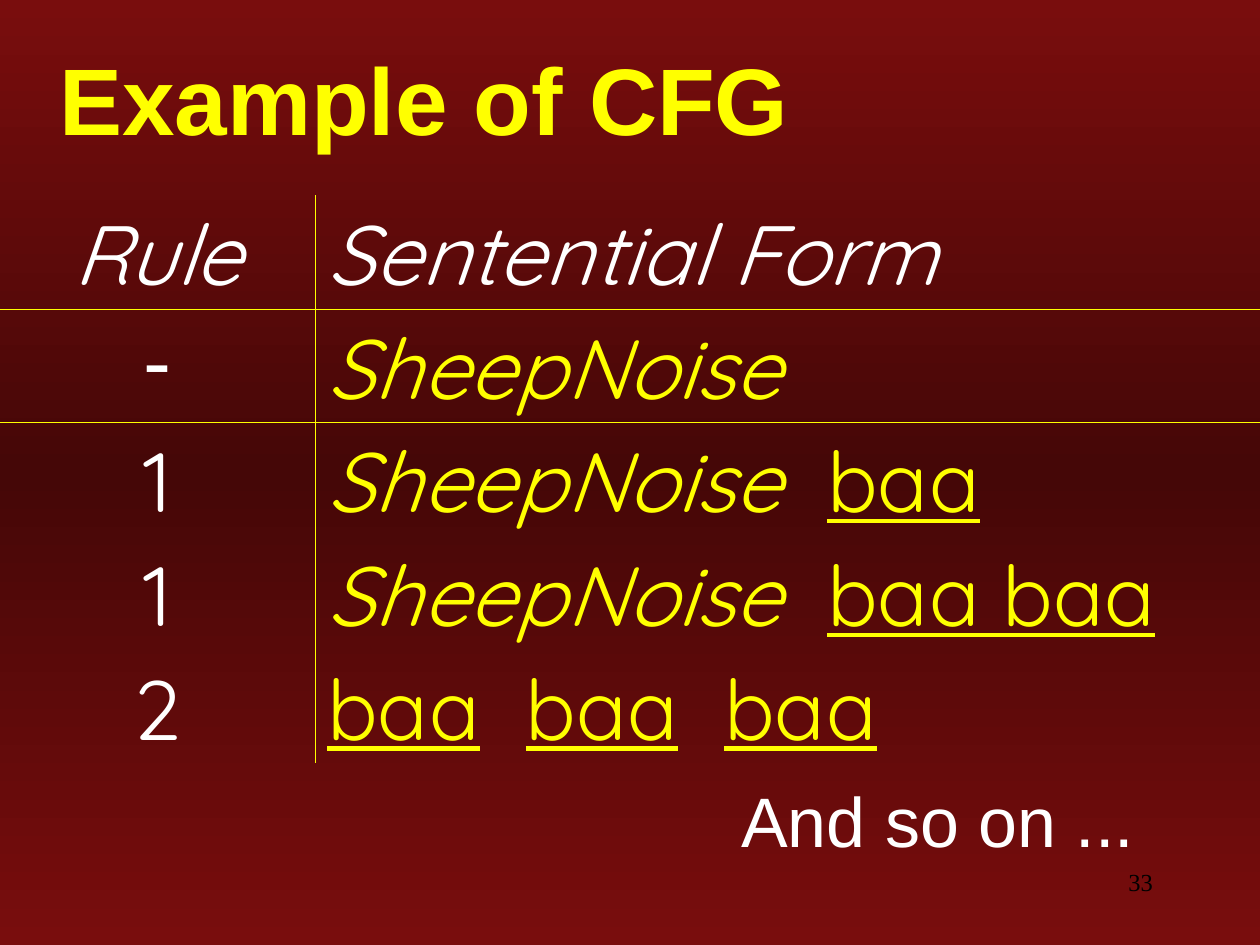
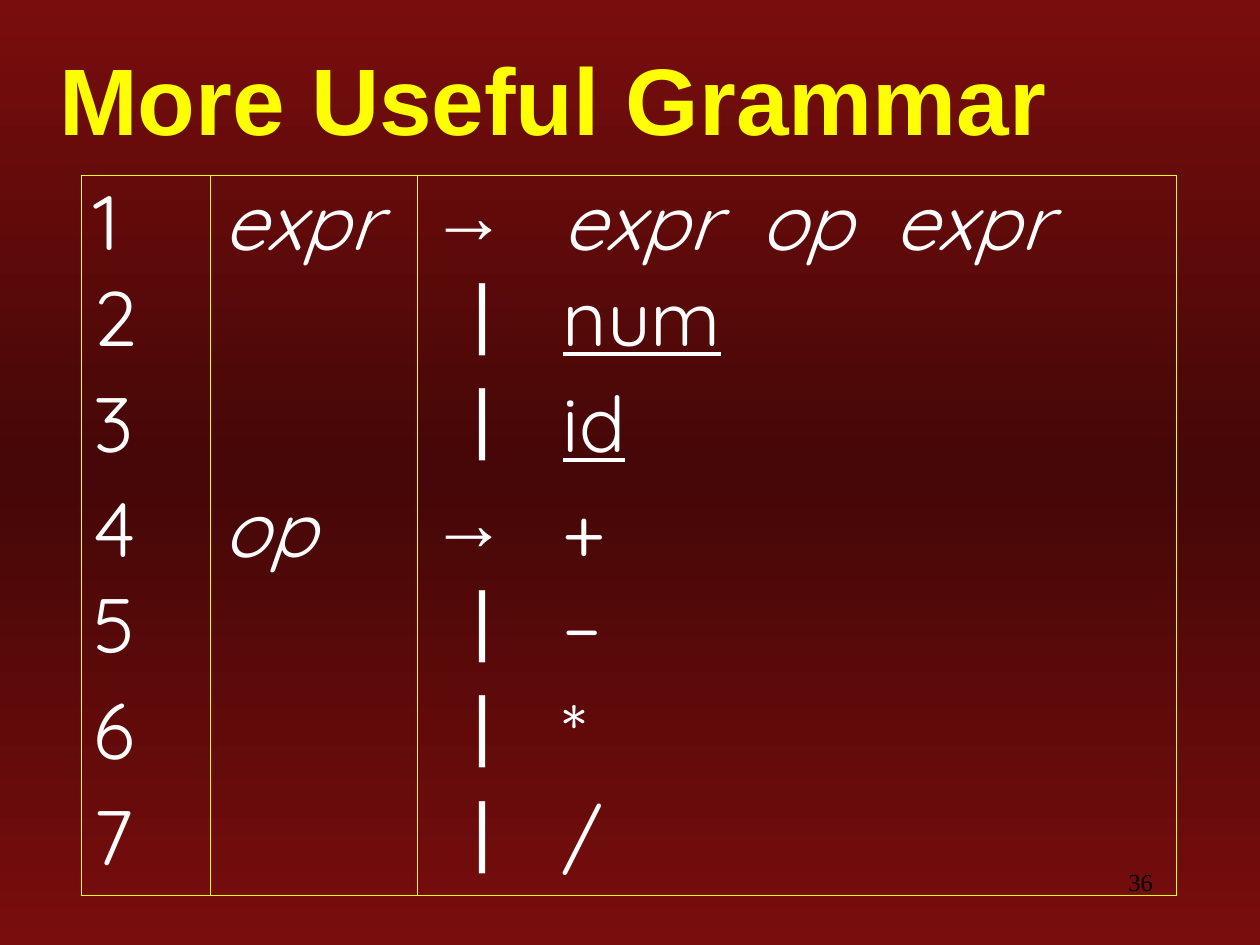
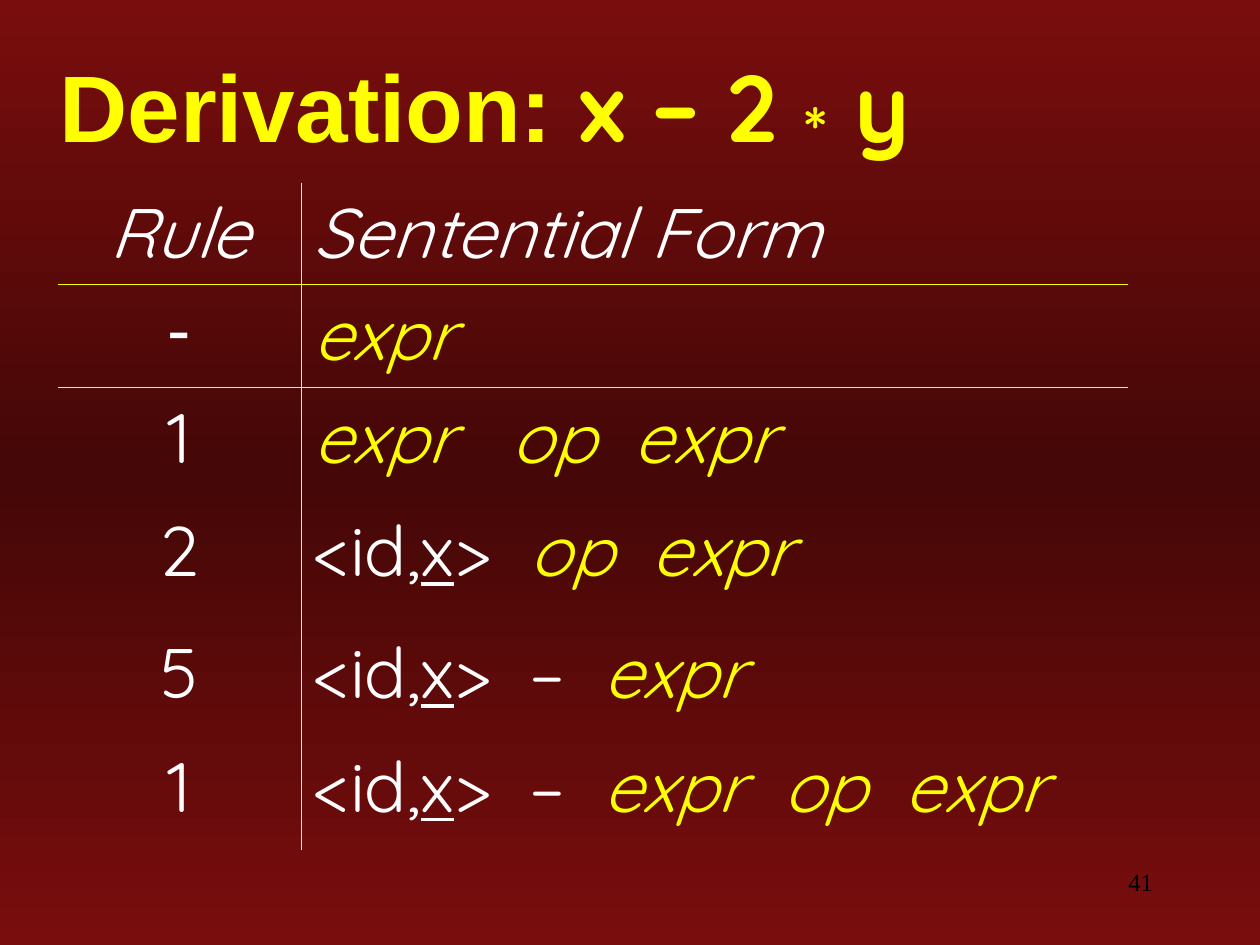
from copy import deepcopy
from dataclasses import dataclass

from lxml.etree import SubElement
from pptx import Presentation
from pptx.dml.color import RGBColor
from pptx.enum.text import MSO_ANCHOR as Anchor
from pptx.enum.text import MSO_AUTO_SIZE as AutoSize
from pptx.enum.text import PP_ALIGN as Align
from pptx.oxml.ns import qn
from pptx.util import Cm, Pt

YELLOW = RGBColor(0xFF, 0xFF, 0x00)
WHITE = RGBColor(0xFF, 0xFF, 0xFF)
BLACK = RGBColor(0x00, 0x00, 0x00)
RED = RGBColor(0x79, 0x0D, 0x0D)
DARK_RED = RGBColor(0x45, 0x07, 0x07)
SHADOW = RGBColor(0xCC, 0xEC, 0xFF)

HEADING_FONT = "Arial"
BODY_FONT = "Quicksand"
NUMBER_FONT = "Times New Roman"
TITLE_SIZE = 54
TITLE_ONLY = 5
RULE_WIDTH = Pt(0.45)
CELL_MARGIN = 0.25
BAR_INDENT = 0.86
NO_STYLE = "{2D5ABB26-0587-4C30-8999-92F81FD0307C}"


@dataclass(frozen=True)
class Piece:
    text: str
    font: str = BODY_FONT
    color: RGBColor = WHITE
    size: float | None = None
    bold: bool = False
    italic: bool = False
    underline: bool = False
    baseline: int = 0


Cell = tuple[Piece, ...]


@dataclass(frozen=True)
class Grid:
    left: float
    top: float
    columns: tuple[float, ...]
    rows: tuple[float, ...]
    cells: list[tuple[Cell, ...]]
    size: float
    vertical_rules: tuple[int, ...]
    horizontal_rules: tuple[int, ...]
    centered_first: bool = False
    line_spacing: float = 1.0


def symbol(text: str) -> Piece:
    return Piece(text, italic=True, color=YELLOW)


def word(text: str) -> Piece:
    return Piece(text, underline=True, color=YELLOW)


def heading(text: str, font: str = HEADING_FONT, size: float = TITLE_SIZE, baseline: int = 0) -> Piece:
    return Piece(text, font, YELLOW, size, bold=True, baseline=baseline)


def write(paragraph, pieces: Cell, size: float) -> None:
    for piece in pieces:
        run = paragraph.add_run()
        run.text = piece.text
        font = run.font
        font.name = piece.font
        font.size = Pt(piece.size or size)
        font.bold = piece.bold
        font.italic = piece.italic
        font.underline = piece.underline
        font.color.rgb = piece.color
        if piece.baseline:
            run._r.get_or_add_rPr().set("baseline", str(piece.baseline * 1000))


def add_solid_color(parent, color: RGBColor) -> None:
    SubElement(SubElement(parent, qn("a:solidFill")), qn("a:srgbClr"), val=str(color))


def add_text_shadow(run) -> None:
    properties = run._r.get_or_add_rPr()
    effects = SubElement(properties, qn("a:effectLst"))
    shadow = SubElement(effects, qn("a:outerShdw"), dist="17961", dir="2700000")
    SubElement(shadow, qn("a:srgbClr"), val=str(SHADOW))
    properties.find(qn("a:solidFill")).addnext(effects)


def paint_background(master) -> None:
    fill = master.background.fill
    fill.gradient()
    fill.gradient_angle = 270
    stop_list = master.element.find(".//" + qn("a:gsLst"))
    stop_list.append(deepcopy(stop_list[0]))
    for stop, position, color in zip(fill.gradient_stops, (0, 0.5, 1), (RED, DARK_RED, RED)):
        stop.position = position
        stop.color.rgb = color


def add_text(slide, box: tuple[float, float, float, float], piece: Piece) -> None:
    frame = slide.shapes.add_textbox(*map(Cm, box)).text_frame
    frame.word_wrap = True
    paragraph = frame.paragraphs[0]
    paragraph.alignment = Align.RIGHT
    write(paragraph, (piece,), piece.size)


def add_titled_slide(presentation, title_pieces: Cell, number: str):
    slide = presentation.slides.add_slide(presentation.slide_layouts[TITLE_ONLY])
    title = slide.shapes.title
    title.left, title.top, title.width, title.height = map(Cm, (0.94, 0.91, 24.46, 2.11))
    frame = title.text_frame
    frame.auto_size = AutoSize.NONE
    frame.word_wrap = True
    frame.vertical_anchor = Anchor.MIDDLE
    paragraph = frame.paragraphs[0]
    paragraph.alignment = Align.LEFT
    write(paragraph, title_pieces, TITLE_SIZE)
    for run in paragraph.runs:
        add_text_shadow(run)
    add_text(slide, (18.21, 17.35, 5.28, 1.27), Piece(number, NUMBER_FONT, BLACK, 14))
    return slide


def draw_cell_rules(cell, row: int, column: int, grid: Grid) -> None:
    properties = cell._tc.get_or_add_tcPr()
    sides = (
        ("a:lnL", column in grid.vertical_rules),
        ("a:lnR", column + 1 in grid.vertical_rules),
        ("a:lnT", row in grid.horizontal_rules),
        ("a:lnB", row + 1 in grid.horizontal_rules),
    )
    drawn = [tag for tag, is_drawn in sides if is_drawn]
    for index, tag in enumerate(drawn):
        line = SubElement(properties, qn(tag), w=str(RULE_WIDTH))
        add_solid_color(line, YELLOW)
        properties.insert(index, line)


def add_grid(slide, grid: Grid) -> None:
    frame = slide.shapes.add_table(
        len(grid.rows), len(grid.columns), Cm(grid.left), Cm(grid.top),
        Cm(sum(grid.columns)), Cm(sum(grid.rows)),
    )
    table = frame.table
    table.first_row = False
    table.horz_banding = False
    table._tbl.tblPr.find(qn("a:tableStyleId")).text = NO_STYLE
    for column, width in zip(table.columns, grid.columns):
        column.width = Cm(width)
    for row, height in zip(table.rows, grid.rows):
        row.height = Cm(height)
    for row_index, row_cells in enumerate(grid.cells):
        for column_index, pieces in enumerate(row_cells):
            cell = table.cell(row_index, column_index)
            cell.fill.background()
            is_bar = any(piece.text == "|" for piece in pieces)
            cell.margin_left = Cm(CELL_MARGIN + BAR_INDENT * is_bar)
            draw_cell_rules(cell, row_index, column_index, grid)
            paragraph = cell.text_frame.paragraphs[0]
            paragraph.line_spacing = grid.line_spacing
            if grid.centered_first and column_index == 0:
                paragraph.alignment = Align.CENTER
            write(paragraph, pieces, grid.size)


def derivation(left: float, top: float, columns: tuple[float, ...], rows: tuple[float, ...],
               size: float, steps: list[tuple[str, Cell]]) -> Grid:
    header = ((Piece("Rule", italic=True),), (Piece("Sentential Form", italic=True),))
    body = [
        ((Piece(rule, HEADING_FONT if rule == "-" else BODY_FONT),), form)
        for rule, form in steps
    ]
    return Grid(left, top, columns, rows, [header, *body], size, (1,), (1,), centered_first=True)


def grammar(productions: list[tuple[str, Piece]]) -> Grid:
    cells = []
    for number, (left_side, right_side) in enumerate(productions, start=1):
        name = (Piece(left_side, italic=True),) if left_side else ()
        mark = Piece("→", HEADING_FONT, bold=True) if left_side else Piece("|", HEADING_FONT)
        cells.append(((Piece(str(number)),), name, (mark,), (right_side,)))
    heights = tuple(1.93 if left_side else 2.13 for left_side, _ in productions)
    return Grid(1.63, 3.53, (2.62, 4.17, 2.67, 12.62), heights, cells, 44,
                (0, 1, 4), (0, len(productions)), line_spacing=0.9)


def main() -> None:
    presentation = Presentation()
    presentation.slide_width = Cm(25.4)
    presentation.slide_height = Cm(19.05)
    paint_background(presentation.slide_master)

    sheep_slide = add_titled_slide(presentation, (heading("Example of CFG"),), "33")
    gap = Piece("  ", color=YELLOW)
    sheep_steps = [
        ("-", (symbol("SheepNoise"),)),
        ("1", (symbol("SheepNoise  "), word("baa"))),
        ("1", (symbol("SheepNoise  "), word("baa baa"))),
        ("2", (word("baa"), gap, word("baa"), gap, word("baa"))),
    ]
    add_grid(sheep_slide, derivation(0, 3.94, (6.35, 19.05), (2.29,) * 5, 48, sheep_steps))
    add_text(sheep_slide, (5.13, 15.54, 17.98, 2.34),
             Piece("And so on ...", HEADING_FONT, size=40))

    grammar_slide = add_titled_slide(presentation, (heading("More Useful Grammar"),), "36")
    add_grid(grammar_slide, grammar([
        ("expr", Piece("expr  op  expr", italic=True)),
        ("", Piece("num", underline=True)),
        ("", Piece("id", underline=True)),
        ("op", Piece("+")),
        ("", Piece("–")),
        ("", Piece("*")),
        ("", Piece("/")),
    ]))

    derivation_title = (
        heading("Derivation: "),
        heading("x – 2 ", BODY_FONT),
        heading("*", BODY_FONT, 66, -10),
        heading(" y", BODY_FONT),
    )
    derivation_slide = add_titled_slide(presentation, derivation_title, "41")
    identifier = (Piece("<id,"), Piece("x", underline=True))
    expression_steps = [
        ("-", (symbol("expr"),)),
        ("1", (symbol("expr   op  expr"),)),
        ("2", (*identifier, Piece(">  "), symbol("op  expr"))),
        ("5", (*identifier, Piece(">  –"), symbol("  expr"))),
        ("1", (*identifier, Piece(">  –"), symbol("  expr  op  expr"))),
    ]
    add_grid(derivation_slide, derivation(
        1.17, 3.68, (4.9, 16.66), (2.06, 2.06, 2.29, 2.46, 2.29, 2.29), 40, expression_steps))

    presentation.save("out.pptx")


if __name__ == "__main__":
    main()
